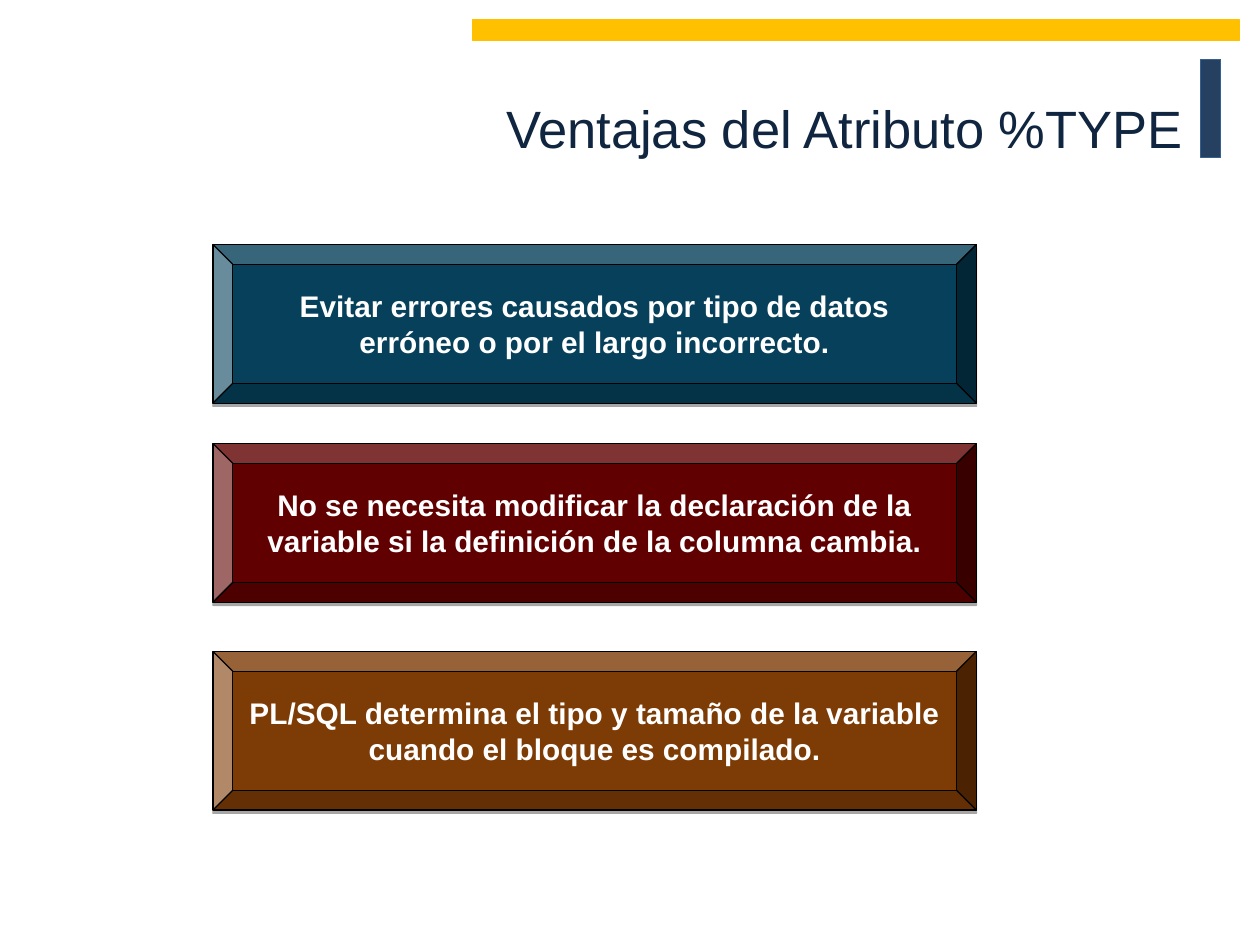
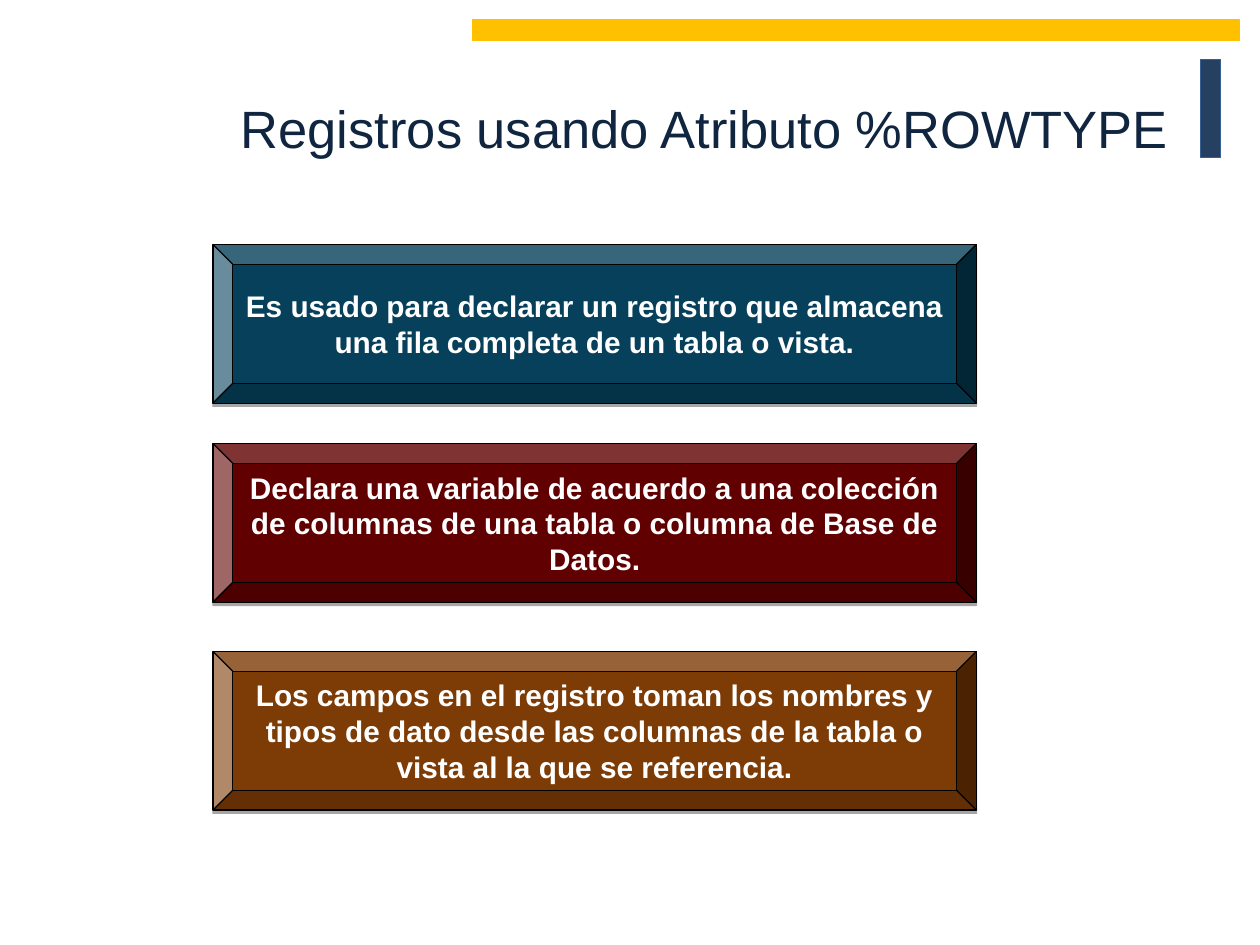
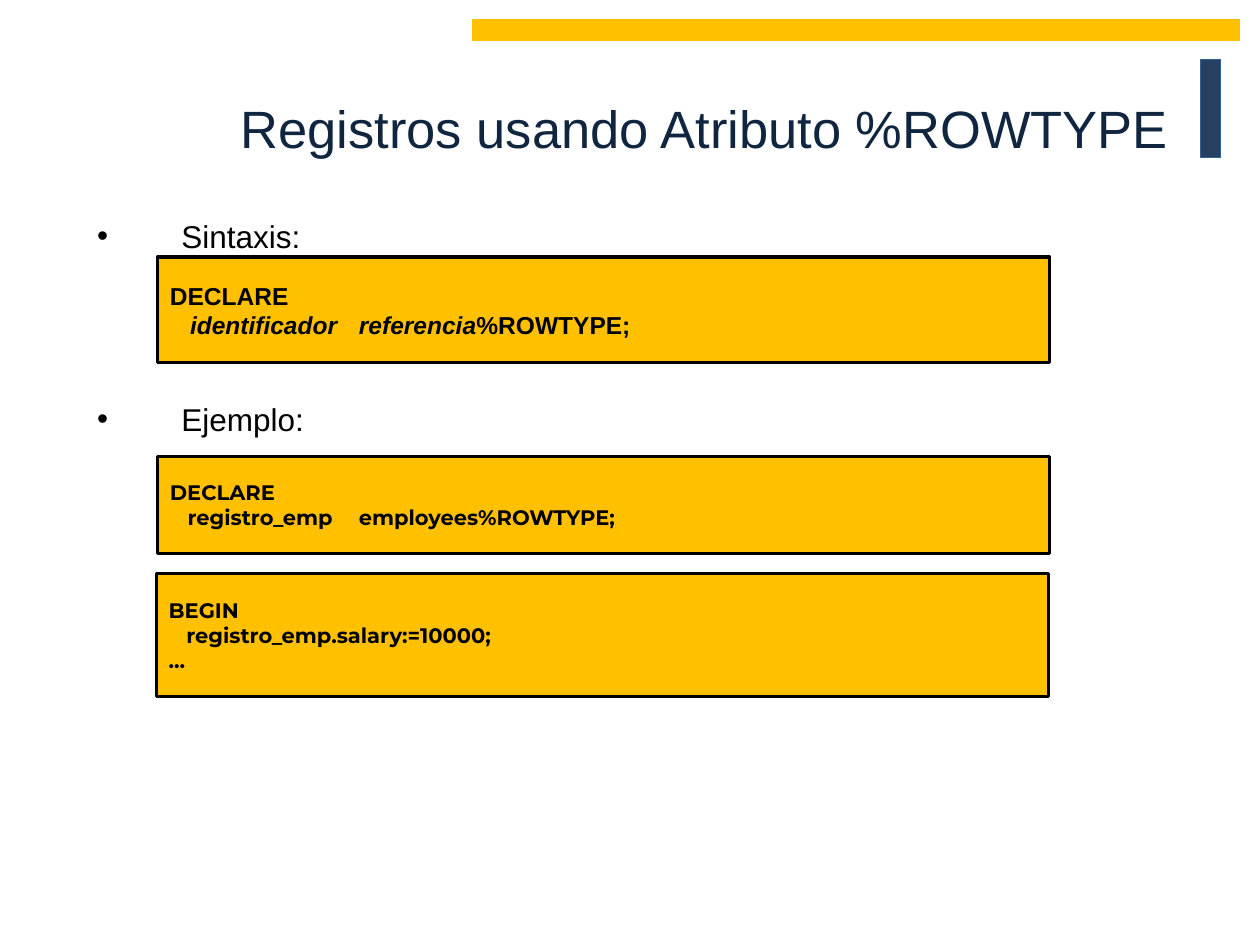
from lxml import etree
from pptx import Presentation
from pptx import util as u
from pptx.dml.color import RGBColor
from pptx.enum import shapes, text
from pptx.oxml import ns

COLS, ROWS = 100, 75
HUES = {
    "navy": "254061", "edge": "376092", "gold": "FFC000", "title": "10253F",
    "black": "000000", "white": "FFFFFF",
    "teal": "06405A", "wine": "600000", "brown": "7D3B05",
}
TITLE = {"name": "Arial", "size": u.Pt(30)}
BODY = {"name": "Arial", "size": u.Pt(18)}
PANEL = {"name": "Arial", "size": u.Pt(17), "bold": True}
SYNTAX = {"name": "Arial", "size": u.Pt(14), "bold": True}
SAMPLE = {"name": "Montserrat", "size": u.Pt(12), "bold": True}
PANELS = (("teal", 19.4), ("wine", 35.2), ("brown", 51.7))


def hue(name):
    return RGBColor.from_string(HUES[name])


def apply(item, values):
    for key, value in values.items():
        setattr(item, key, value)


def child(node, tag, **values):
    return etree.SubElement(node, ns.qn(tag), {k: str(v) for k, v in values.items()})


class Deck:
    def __init__(self):
        self.file = Presentation()
        apply(self.file, {"slide_width": u.Inches(10), "slide_height": u.Inches(7.5)})
        self.slide = None

    def box(self, left, top, width, height):
        col = self.file.slide_width / COLS
        row = self.file.slide_height / ROWS
        return [round(n) for n in (left * col, top * row, width * col, height * row)]

    def place(self, shape, *cells):
        apply(shape, dict(zip(("left", "top", "width", "height"), self.box(*cells))))

    def words(self, par, line, font, color, **extra):
        run = par.add_run()
        run.text = line
        apply(run.font, {**font, **extra})
        run.font.color.rgb = hue(color)

    def shape(self, kind, cells, fill, line, width=0.75):
        item = self.slide.shapes.add_shape(kind, *self.box(*cells))
        item.shadow.inherit = False
        item.fill.solid()
        item.fill.fore_color.rgb = hue(fill)
        item.line.color.rgb = hue(line)
        item.line.width = u.Pt(width)
        return item

    def bands(self):
        tree = self.file.slide_master.shapes.element
        for cells, fill, line in (
            ((37.5, 1.6, 60.9, 1.6), "gold", "gold"),
            ((95.3, 4.7, 1.6, 7.8), "navy", "edge"),
        ):
            band = self.shape(shapes.MSO_SHAPE.RECTANGLE, cells, fill, line)
            tree.insert(2, band.element)

    def page(self, title, layout=5, left=9.7):
        self.slide = self.file.slides.add_slide(self.file.slide_layouts[layout])
        head = self.slide.shapes.title
        self.place(head, left, 2.1, 94.9 - left, 16)
        apply(head.text_frame, {
            "auto_size": text.MSO_AUTO_SIZE.NONE,
            "vertical_anchor": text.MSO_ANCHOR.MIDDLE,
        })
        par = head.text_frame.paragraphs[0]
        par.alignment = text.PP_ALIGN.RIGHT
        self.words(par, title, TITLE, "title")

    def panel(self, line, fill, top):
        item = self.shape(shapes.MSO_SHAPE.BEVEL, (16.9, top, 60.6, 12.6), fill, "black")
        item.adjustments[0] = 0.125
        effects = item.element.spPr.find(ns.qn("a:effectLst"))
        shade = child(effects, "a:outerShdw", blurRad=0, dist=u.Pt(1.8),
                      dir=5400000, algn="ctr", rotWithShape=0)
        tint = child(shade, "a:srgbClr", val=HUES["black"])
        child(tint, "a:alpha", val=35000)
        apply(item.text_frame, {
            "word_wrap": True, "vertical_anchor": text.MSO_ANCHOR.MIDDLE,
            "margin_left": u.Inches(0.08), "margin_right": u.Inches(0.08),
        })
        par = item.text_frame.paragraphs[0]
        par.alignment = text.PP_ALIGN.CENTER
        self.words(par, line, PANEL, "white")

    def panels(self, title, points):
        self.page(title)
        for line, (fill, top) in zip(points, PANELS):
            self.panel(line, fill, top)

    def bullets(self, cells, items):
        body = self.slide.placeholders[1]
        self.place(body, *cells)
        frame = body.text_frame
        apply(frame, {
            "auto_size": text.MSO_AUTO_SIZE.NONE,
            "vertical_anchor": text.MSO_ANCHOR.TOP,
        })
        for i, (line, gap) in enumerate(items):
            par = frame.add_paragraph() if i else frame.paragraphs[0]
            apply(par, {
                "alignment": text.PP_ALIGN.JUSTIFY, "line_spacing": 0.8,
                "space_before": u.Pt(gap),
            })
            form = par._p.get_or_add_pPr()
            form.set("marL", str(u.Inches(0.67)))
            form.set("indent", str(-u.Inches(0.67)))
            self.words(par, line, BODY, "black")

    def code(self, cells, font, indent, lines):
        item = self.shape(shapes.MSO_SHAPE.RECTANGLE, cells, "gold", "black", 1.75)
        frame = item.text_frame
        apply(frame, {"word_wrap": True, "vertical_anchor": text.MSO_ANCHOR.MIDDLE})
        for i, (inset, runs) in enumerate(lines):
            par = frame.add_paragraph() if i else frame.paragraphs[0]
            par.alignment = text.PP_ALIGN.LEFT
            if inset:
                form = par._p.get_or_add_pPr()
                form.set("marL", "0")
                form.set("indent", str(u.Inches(indent)))
                child(child(form, "a:tabLst"), "a:tab", pos=u.Inches(2.05), algn="l")
            for line, slant in runs:
                self.words(par, line, font, "black", italic=slant)


deck = Deck()
deck.panels("Ventajas del Atributo %TYPE", (
    "Evitar errores causados por tipo de datos erróneo o por el largo incorrecto.",
    "No se necesita modificar la declaración de la variable si la definición de la columna cambia.",
    "PL/SQL determina el tipo y tamaño de la variable cuando el bloque es compilado.",
))
deck.bands()

ROWTYPE = "Registros usando Atributo %ROWTYPE "
deck.panels(ROWTYPE, (
    "Es usado para declarar un registro que almacena una fila completa de un tabla o vista.",
    "Declara una variable de acuerdo a una colección de columnas de una tabla o columna de Base de Datos.",
    "Los campos en el registro toman los nombres y tipos de dato desde las columnas de la tabla o vista al la que se referencia.",
))

deck.page(ROWTYPE, layout=1, left=13.8)
deck.bullets((6.7, 17.3, 87.4, 4.5), (("Sintaxis:", 2), ("Ejemplo:", 87.5)))
deck.code((12.5, 20.4, 70.8, 8.4), SYNTAX, 0.16, (
    (False, [("DECLARE", False)]),
    (True, [("identificador\treferencia", True), ("%ROWTYPE;", False)]),
))
deck.code((12.5, 36.2, 70.8, 7.7), SAMPLE, 0.14, (
    (False, [("DECLARE", False)]),
    (True, [("registro_emp\temployees%ROWTYPE;", False)]),
))
deck.code((12.4, 45.5, 70.8, 9.8), SAMPLE, 0.14, (
    (False, [("BEGIN", False)]),
    (True, [("registro_emp.salary:=10000;", False)]),
    (False, [("...", False)]),
))
deck.file.save("out.pptx")
